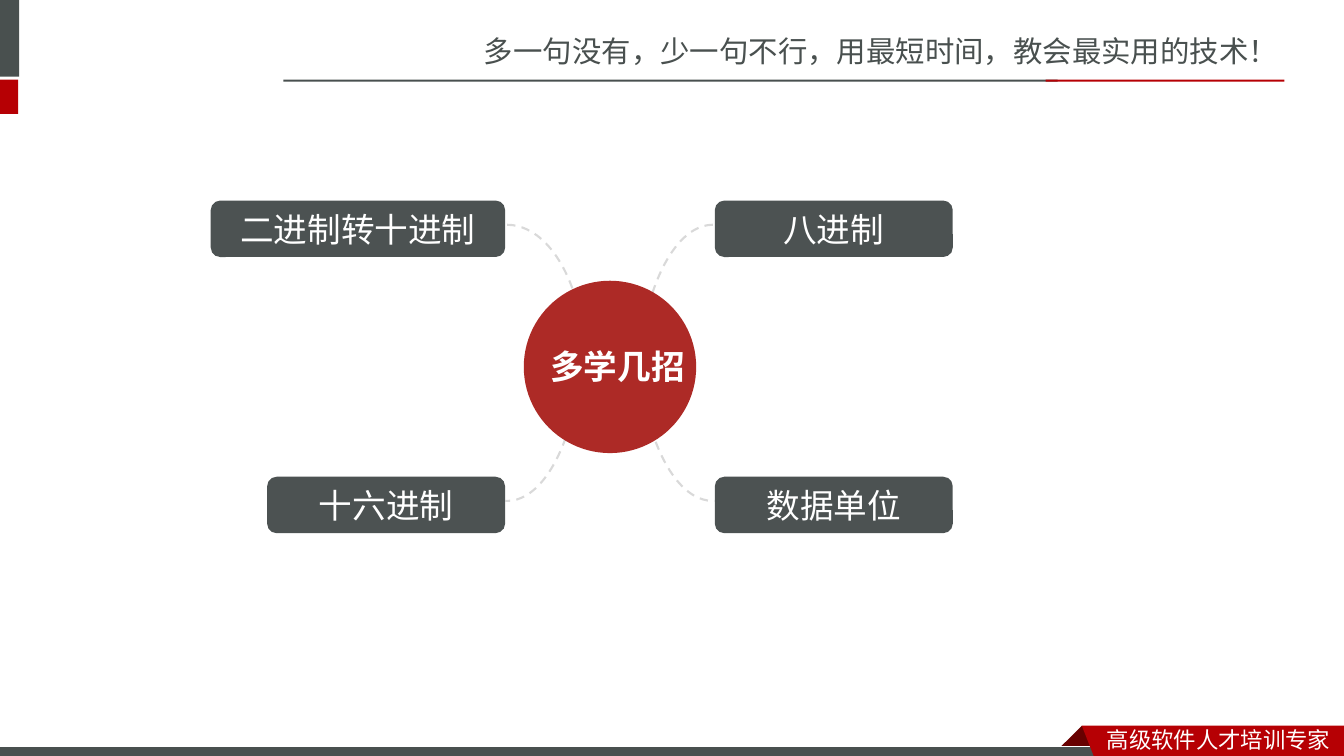
from pptx import Presentation
from pptx.dml.color import RGBColor
from pptx.enum.dml import MSO_LINE
from pptx.enum.shapes import MSO_SHAPE
from pptx.enum.text import MSO_ANCHOR, PP_ALIGN
from pptx.oxml.ns import qn
from pptx.util import Inches, Pt
from lxml import etree

RECT, ROUNDED = MSO_SHAPE.RECTANGLE, MSO_SHAPE.ROUNDED_RECTANGLE
ARC, OVAL = MSO_SHAPE.ARC, MSO_SHAPE.OVAL
LEFT, CENTER = PP_ALIGN.LEFT, PP_ALIGN.CENTER
TOP, MIDDLE = MSO_ANCHOR.TOP, MSO_ANCHOR.MIDDLE
DASH = MSO_LINE.DASH

SLATE = RGBColor(0x49, 0x50, 0x4F)
TOPIC_GRAY = RGBColor(0x4C, 0x52, 0x52)
RED = RGBColor(0xB6, 0x00, 0x04)
DARK_RED = RGBColor(0x68, 0x00, 0x00)
HUB_RED = RGBColor(0xAD, 0x2A, 0x26)
PALE = RGBColor(0xD9, 0xD9, 0xD9)
WHITE = RGBColor(0xFF, 0xFF, 0xFF)
SANS_SC, SANS_JP = "Noto Sans CJK SC", "Noto Sans CJK JP"

# Content
SLOGAN = "多一句没有，少一句不行，用最短时间，教会最实用的技术！"
BADGE = "高级软件人才培训专家"
HUB = "多学几招"
# text, side (-1 left, 1 right), row (-1 upper, 1 lower), width
TOPICS = [
    ("八进制", 1, -1, 2.36),
    ("数据单位", 1, 1, 2.36),
    ("二进制转十进制", -1, -1, 2.92),
    ("十六进制", -1, 1, 2.36),
]
# side, row, width, height, start and end angle in degrees
LINKS = [
    (-1, 1, 1.5, 3.4, 16.04, 90.54),
    (1, -1, 1.5, 3.4, 270, 340.84),
    (-1, -1, 1.54, 2.75, 270, 341.95),
    (1, 1, 1.5, 3.4, 19.2, 90.54),
]

# Geometry in inches
PAGE_W, PAGE_H = 13.33, 7.5
HUB_X, HUB_Y, HUB_SIZE = 6.05, 3.64, 1.71
TOPIC_GAP, ROW_GAP, TOPIC_H = 1.04, 1.37, 0.56
LINK_REACH = 1.37
RULE_Y, RULE_H = 0.79, 0.02
BADGE_X, BADGE_Y, FOOTER_Y = 10.73, 7.2, 7.41

deck = Presentation()
deck.slide_width, deck.slide_height = Inches(PAGE_W), Inches(PAGE_H)
page = deck.slides.add_slide(deck.slide_layouts[5])


def paint(shape, fill, line=None):
    shape.shadow.inherit = False
    if fill is None:
        shape.fill.background()
    else:
        shape.fill.solid()
        shape.fill.fore_color.rgb = fill
    if line is None:
        shape.line.fill.background()
    else:
        shape.line.color.rgb = line
    return shape


def add_shape(kind, x, y, width, height, fill, line=None):
    shape = page.shapes.add_shape(
        kind, Inches(x), Inches(y), Inches(width), Inches(height))
    return paint(shape, fill, line)


def add_outline(points, fill):
    corners = [(Inches(x), Inches(y)) for x, y in points]
    builder = page.shapes.build_freeform(*corners[0])
    builder.add_line_segments(corners[1:], close=True)
    return paint(builder.convert_to_shape(), fill)


def write(box, text, size, color, latin, east_asian, align=LEFT,
          anchor=TOP, bold=False):
    frame = box.text_frame
    frame.word_wrap = True
    frame.vertical_anchor = anchor
    para = frame.paragraphs[0]
    para.alignment = align
    span = para.add_run()
    span.text = text
    span.font.size = Pt(size)
    span.font.bold = bold
    span.font.name = latin
    span.font.color.rgb = color
    latin_tag = span.font._element.find(qn("a:latin"))
    east_tag = etree.Element(qn("a:ea"), typeface=east_asian)
    latin_tag.addnext(east_tag)


def add_text(x, y, width, height, *text_format, **options):
    box = page.shapes.add_textbox(
        Inches(x), Inches(y), Inches(width), Inches(height))
    write(box, *text_format, **options)


# Header: slogan, corner blocks and two-tone rule
title = page.shapes.title
title.left, title.top = Inches(4.7), Inches(0.28)
title.width, title.height = Inches(PAGE_W - 4.7), Inches(0.45)
write(title, SLOGAN, 21, SLATE, SANS_SC, SANS_SC, anchor=MIDDLE)
add_shape(RECT, 0, 0, 0.19, 0.76, SLATE)
add_shape(RECT, 0, RULE_Y, 0.18, 0.34, RED)
add_shape(RECT, 2.81, RULE_Y, 7.68, RULE_H, SLATE)
add_shape(RECT, 10.37, RULE_Y, 2.37, RULE_H, RED)

# Footer: folded ribbon over the bottom band
add_outline([(BADGE_X, BADGE_Y), (10.95, 7.42), (10.94, 7.43),
             (10.52, 7.43), (10.51, 7.42)], DARK_RED)
band = add_shape(RECT, -0.01, FOOTER_Y, 11, 0.12, SLATE, WHITE)
band.line.width = Pt(0.75)
add_outline([(BADGE_X, BADGE_Y), (PAGE_W, BADGE_Y),
             (PAGE_W, 7.54), (10.86, 7.53)], RED)
add_text(10.88, 7.15, PAGE_W - 10.88, 0.37,
         BADGE, 16, WHITE, SANS_SC, SANS_SC)

# Dashed arcs from the hub to each topic
for side, row, width, height, start, end in LINKS:
    x = HUB_X + side * 1.02 - width / 2
    y = HUB_Y + row * LINK_REACH - (height if row > 0 else 0)
    y -= 0.04
    arc = add_shape(ARC, x, y, width, height, None, PALE)
    arc.line.width = Pt(1.5)
    arc.line.dash_style = DASH
    # One degree is 60000 units, and adjustments count in 100000 units
    arc.adjustments[0], arc.adjustments[1] = start * 0.6, end * 0.6
    if side > 0:
        arc._element.spPr.xfrm.set("flipH", "1")

# Topic boxes
for text, side, row, width in TOPICS:
    x = HUB_X + side * TOPIC_GAP - (width if side < 0 else 0)
    y = HUB_Y + row * ROW_GAP - TOPIC_H / 2
    topic = add_shape(ROUNDED, x, y, width, TOPIC_H, TOPIC_GRAY)
    write(topic, text, 24, WHITE, SANS_JP, SANS_JP, CENTER, MIDDLE)

# Hub
add_shape(OVAL, HUB_X - HUB_SIZE / 2, HUB_Y - HUB_SIZE / 2,
          HUB_SIZE, HUB_SIZE, HUB_RED)
add_text(5.27, 3.38, HUB_SIZE, 0.5, HUB, 24, WHITE, "Calibri", SANS_SC,
         align=CENTER, anchor=MIDDLE, bold=True)

deck.save("out.pptx")
